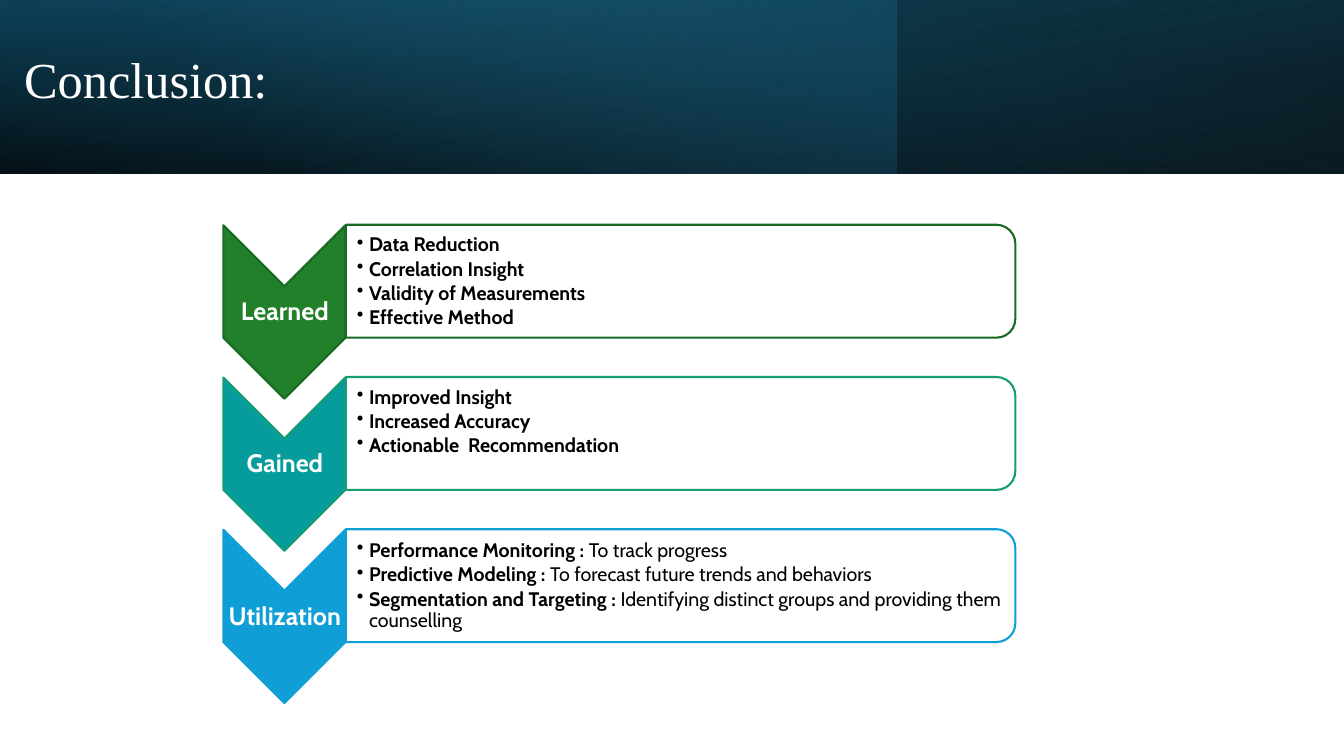
from lxml import etree
from pptx import Presentation
from pptx.dml.color import RGBColor
from pptx.enum.shapes import MSO_SHAPE as SHAPE
from pptx.enum.text import MSO_ANCHOR as ANCHOR, PP_ALIGN as ALIGN
from pptx.oxml import parse_xml
from pptx.oxml.ns import nsdecls, qn
from pptx.util import Inches, Pt


def add_filled(kind, box, stops, angle=None, line=None, rotation=0, flip=False):
    """Add a shape filled from (position %, colour, opacity %) stops; one stop is a solid fill."""
    s = slide.shapes.add_shape(kind, *map(Inches, box))
    s.shadow.inherit = False
    s.rotation = rotation
    if flip:
        s._element.spPr.xfrm.set("flipH", "1")
    if line:
        s.line.color.rgb = RGBColor.from_string(line)
        s.line.width = Pt(1.5)
    else:
        s.line.fill.background()
    colours = [f'<a:srgbClr val="{c}"><a:alpha val="{a * 1000}"/></a:srgbClr>'
               for _, c, a in stops]
    if angle is None:
        xml = f'<a:solidFill {nsdecls("a")}>{colours[0]}</a:solidFill>'
    else:
        gs = "".join(f'<a:gs pos="{stop[0] * 1000}">{c}</a:gs>'
                     for stop, c in zip(stops, colours))
        xml = (f'<a:gradFill {nsdecls("a")} rotWithShape="1"><a:gsLst>{gs}</a:gsLst>'
               f'<a:lin ang="{angle * 60000}" scaled="0"/></a:gradFill>')
    s._element.spPr.find(qn("a:prstGeom")).addnext(parse_xml(xml))


def add_text(box, margins, paragraphs, size, colour, font="Cabin",
             align=ALIGN.LEFT, bullets=False):
    """Add a text box; each paragraph is a list of (text, bold) runs."""
    tf = slide.shapes.add_textbox(*map(Inches, box)).text_frame
    tf.word_wrap = True
    tf.vertical_anchor = ANCHOR.MIDDLE
    for side, margin in zip(("left", "top", "right", "bottom"), margins):
        setattr(tf, f"margin_{side}", Inches(margin))
    for i, runs in enumerate(paragraphs):
        p = tf.add_paragraph() if i else tf.paragraphs[0]
        p.alignment = align
        p.line_spacing = 0.9
        if bullets:
            p.space_after = Pt(size * 0.15)
            pPr = p._p.get_or_add_pPr()
            pPr.set("marL", str(Inches(0.12)))
            pPr.set("indent", str(-Inches(0.12)))
            etree.SubElement(pPr, qn("a:buChar")).set("char", "•")
        for text, bold in runs:
            r = p.add_run()
            r.text = text
            for name, value in {"name": font, "size": Pt(size), "bold": bold}.items():
                setattr(r.font, name, value)
            r.font.color.rgb = RGBColor.from_string(colour)


prs = Presentation()
prs.slide_width, prs.slide_height = Inches(13.33), Inches(7.5)
slide = prs.slides.add_slide(prs.slide_layouts[6])

# Header band
band = (0, 0, 13.33, 1.72)
add_filled(SHAPE.RECTANGLE, band, [(0, "000000", 96), (100, "104862", 100)], 100,
           rotation=180, flip=True)
add_filled(SHAPE.RECTANGLE, (0, 0, 8.89, 1.72),
           [(0, "156082", 41), (74, "46B1E1", 0)], 140)
add_filled(SHAPE.RECTANGLE, band, [(0, "000000", 63), (78, "156082", 15)], 260, flip=True)
add_text((0.14, 0.51, 11.8, 0.61), (0.1, 0.05, 0.1, 0.05), [[("Conclusion:", False)]],
         36, "FFFFFF", "Times New Roman")

# Chevron list: label, fill, outline, bullets as (bold part, plain part)
steps = [
    ("Learned", "22802B", "196B24",
     [("Data Reduction", ""), ("Correlation Insight", ""),
      ("Validity of Measurements", ""), ("Effective Method", "")]),
    ("Gained", "069C9C", "179D76",
     [("Improved Insight", ""), ("Increased Accuracy", ""),
      ("Actionable  Recommendation", "")]),
    ("Utilization", "0F9ED5", "0F9ED5",
     [("Performance Monitoring : ", "To track progress"),
      ("Predictive Modeling : ", "To forecast future trends and behaviors"),
      ("Segmentation and Targeting : ",
       "Identifying distinct groups and providing them counselling")]),
]
pitch = 1.51
for i, (label, fill, outline, points) in enumerate(steps):
    y = i * pitch
    add_filled(SHAPE.CHEVRON, (1.96, 2.49 + y, 1.72, 1.21), [(0, fill, 100)],
               line=outline, rotation=90)
    add_text((2.22, 2.84 + y, 1.21, 0.52), (0.01,) * 4, [[(label, True)]],
             18, "FFFFFF", align=ALIGN.CENTER)
    add_filled(SHAPE.ROUND_2_SAME_RECTANGLE, (6.19, -0.53 + y, 1.12, 6.64),
               [(0, "FFFFFF", 90)], line=outline, rotation=90)
    bottom = 0.25 if label == "Gained" else 0.01
    runs = [[(text, bold) for text, bold in ((head, True), (rest, False)) if text]
            for head, rest in points]
    add_text((3.43, 2.29 + y, 6.59, 1.01), (0.11, 0.01, 0.01, bottom), runs,
             14, "000000", bullets=True)

prs.save("out.pptx")
